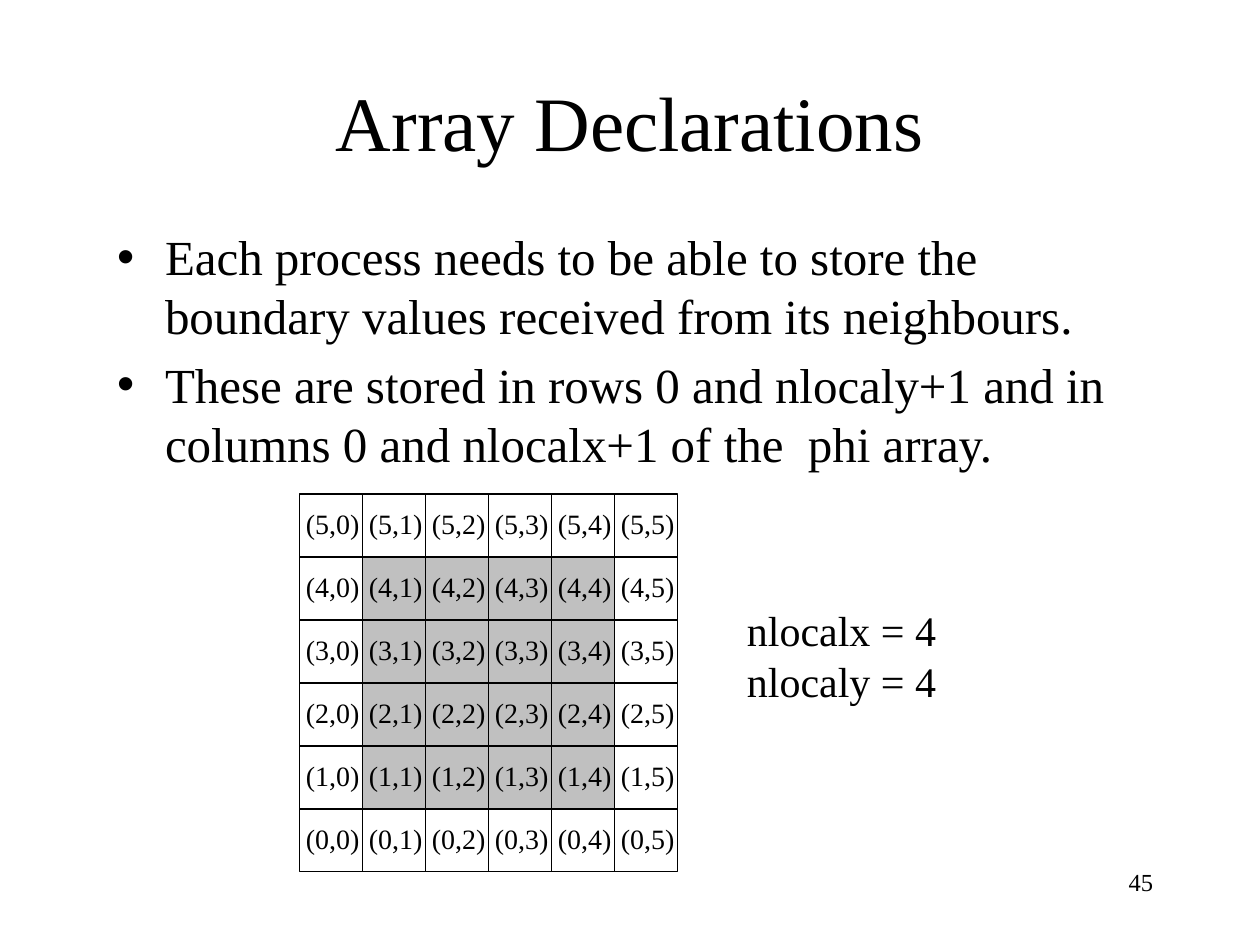
from pptx import Presentation
from pptx.dml.color import RGBColor
from pptx.enum.shapes import MSO_SHAPE
from pptx.enum.text import MSO_ANCHOR, MSO_AUTO_SIZE, PP_ALIGN
from pptx.util import Inches, Pt

RECT = MSO_SHAPE.RECTANGLE
TOP, MID = MSO_ANCHOR.TOP, MSO_ANCHOR.MIDDLE
LEFT, MID_X, RIGHT = PP_ALIGN.LEFT, PP_ALIGN.CENTER, PP_ALIGN.RIGHT
FIXED = MSO_AUTO_SIZE.NONE

TITLE = ["Array Declarations"]
POINTS = [
    "Each process needs to be able to store the boundary values received from its neighbours.",
    "These are stored in rows 0 and nlocaly+1 and in columns 0 and nlocalx+1 of the  phi array.",
]
SIZES = ["nlocalx = 4", "nlocaly = 4"]
PAGE = ["45"]
COUNT = 6
CELL = 0.5
GRID_X, GRID_Y = 2.38, 3.92
INK, GREY = "000000", "C0C0C0"


def color(code):
    return RGBColor.from_string(code)


def place(shape, box):
    for name, size in zip(("left", "top", "width", "height"), box):
        setattr(shape, name, Inches(size))


def write(shape, lines, size, align=LEFT, anchor=TOP, wrap=True, gap=0):
    frame = shape.text_frame
    frame.text = "\n".join(lines)
    form = {"word_wrap": wrap, "auto_size": FIXED, "vertical_anchor": anchor}
    for name, value in form.items():
        setattr(frame, name, value)
    for num, para in enumerate(frame.paragraphs):
        para.alignment = align
        para.space_before = Pt(gap if num else 0)
        font = {"name": "Times New Roman", "size": Pt(size)}
        for name, value in font.items():
            setattr(para.font, name, value)
        para.font.color.rgb = color(INK)


def label(shapes, box, lines, size, **form):
    item = shapes.add_textbox(*map(Inches, box))
    write(item, lines, size, **form)


def square(shapes, box, fill=None):
    item = shapes.add_shape(RECT, *map(Inches, box))
    item.shadow.inherit = False
    if fill:
        item.fill.solid()
        item.fill.fore_color.rgb = color(fill)
    else:
        item.fill.background()
    item.line.color.rgb = color(INK)
    item.line.width = Pt(0.75)


def draw_grid(shapes):
    inner = (COUNT - 2) * CELL
    square(shapes, (GRID_X + CELL, GRID_Y + CELL, inner, inner), GREY)
    for row in range(COUNT):
        y = GRID_Y + (COUNT - 1 - row) * CELL
        for col in range(COUNT):
            x = GRID_X + col * CELL
            square(shapes, (x, y, CELL, CELL))
            label(shapes, (x - 0.05, y + 0.05, 0.75, 0.37), [f"({row},{col})"], 16)


def main():
    deck = Presentation()
    deck.slide_width, deck.slide_height = Inches(10), Inches(7.5)
    slide = deck.slides.add_slide(deck.slide_layouts[1])
    shapes = slide.shapes
    title, body = slide.placeholders
    place(title, (0.75, 0.33, 8.5, 1.25))
    write(title, TITLE, 44, align=MID_X, anchor=MID)
    place(body, (0.83, 1.75, 8.5, 2.33))
    write(body, POINTS, 28, gap=5.6)
    for para in body.text_frame.paragraphs:
        props = para._p.get_or_add_pPr()
        props.set("marL", str(Inches(0.38)))
        props.set("indent", str(Inches(-0.38)))
    draw_grid(shapes.add_group_shape().shapes)
    label(shapes, (5.83, 4.75, 1.7, 0.9), SIZES, 24, wrap=False)
    label(shapes, (7.17, 6.83, 2.08, 0.5), PAGE, 14, align=RIGHT)
    deck.save("out.pptx")


if __name__ == "__main__":
    main()
